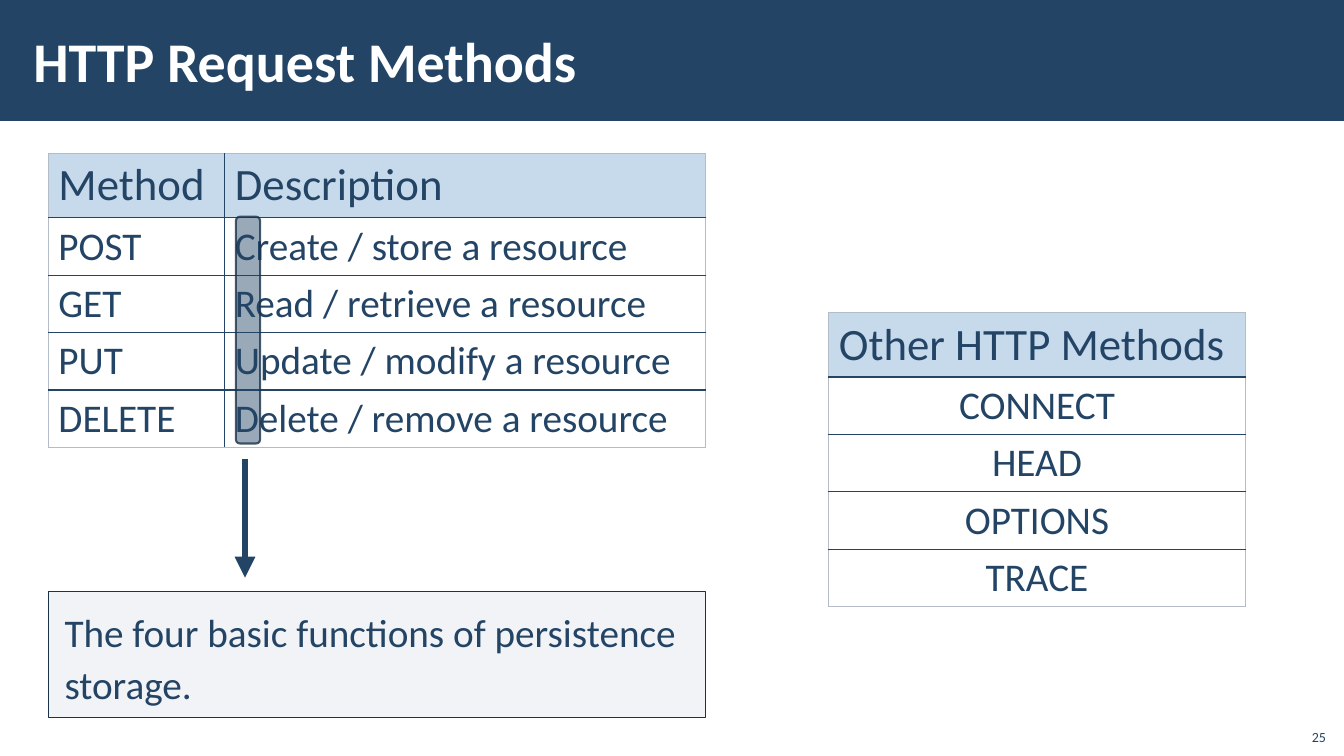
from dataclasses import dataclass

from lxml import etree
from pptx import Presentation
from pptx.dml.color import RGBColor
from pptx.enum import shapes, text
from pptx.oxml import ns
from pptx.util import Inches, Pt

NAVY, DARK, PALE, EDGE, WHITE = "234465", "1A334C", "C7DAEC", "B4BCC8", "FFFFFF"
GREY = "ADB4C3"
FONT = "Calibri"


@dataclass
class MethodTable:
    left: float
    top: float
    widths: list[float]
    rows: list[tuple[str, ...]]
    align: text.PP_ALIGN


@dataclass
class Panel:
    kind: shapes.MSO_SHAPE
    box: tuple[float, float, float, float]
    fill: str
    opacity: int = 100
    outline: str | None = None
    outline_width: float = 1
    outline_opacity: int = 100


def colour(value: str) -> RGBColor:
    return RGBColor.from_string(value)


def place(box: tuple[float, ...]) -> list[int]:
    return [Inches(length) for length in box]


def set_opacity(fill_parent, percent: int) -> None:
    if percent < 100:
        tint = fill_parent.find(ns.qn("a:solidFill"))[0]
        etree.SubElement(tint, ns.qn("a:alpha"), val=str(percent * 1000))


def style_text(frame, size: float, tint: str = NAVY, bold: bool = False,
               align: text.PP_ALIGN = text.PP_ALIGN.LEFT) -> None:
    for paragraph in frame.paragraphs:
        paragraph.alignment = align
        for run in paragraph.runs:
            run.font.name = FONT
            run.font.size = Pt(size)
            run.font.bold = bold
            run.font.color.rgb = colour(tint)


def set_margins(frame, side: float, vertical: float) -> None:
    frame.margin_left = frame.margin_right = Inches(side)
    frame.margin_top = frame.margin_bottom = Inches(vertical)


def add_panel(slide, panel: Panel):
    shape = slide.shapes.add_shape(panel.kind, *place(panel.box))
    shape.shadow.inherit = False
    shape.fill.solid()
    shape.fill.fore_color.rgb = colour(panel.fill)
    set_opacity(shape.element.spPr, panel.opacity)
    if panel.outline:
        shape.line.color.rgb = colour(panel.outline)
        shape.line.width = Pt(panel.outline_width)
        set_opacity(shape.element.spPr.find(ns.qn("a:ln")), panel.outline_opacity)
    else:
        shape.line.fill.background()
    return shape


def add_border(cell, side: str, outer: bool) -> None:
    border = etree.SubElement(cell._tc.get_or_add_tcPr(), ns.qn(f"a:ln{side}"),
                              w=str(Pt(0.5 if outer else 1)))
    fill = etree.SubElement(border, ns.qn("a:solidFill"))
    etree.SubElement(fill, ns.qn("a:srgbClr"), val=EDGE if outer else NAVY)


def add_methods(slide, spec: MethodTable) -> None:
    heights = [0.64] + [0.57] * (len(spec.rows) - 1)
    last_row, last_column = len(spec.rows) - 1, len(spec.widths) - 1
    box = (spec.left, spec.top, sum(spec.widths), sum(heights))
    table = slide.shapes.add_table(len(heights), len(spec.widths), *place(box)).table
    table.first_row = table.horz_banding = False
    for column, width in zip(table.columns, spec.widths):
        column.width = Inches(width)
    for r, (row, height, labels) in enumerate(zip(table.rows, heights, spec.rows)):
        row.height = Inches(height)
        for c, (cell, label) in enumerate(zip(row.cells, labels)):
            cell.text_frame.text = label
            header = r == 0
            style_text(cell.text_frame, 32 if header else 28,
                       align=text.PP_ALIGN.LEFT if header else spec.align)
            outer_sides = {"L": c == 0, "R": c == last_column,
                           "T": header, "B": r == last_row}
            for side, outer in outer_sides.items():
                add_border(cell, side, outer)
            if header:
                cell.fill.solid()
                cell.fill.fore_color.rgb = colour(PALE)
            else:
                cell.fill.background()


def add_arrow(slide, x: float, start: float, end: float) -> None:
    arrow = slide.shapes.add_connector(shapes.MSO_CONNECTOR.STRAIGHT,
                                       *place((x, start, x, end)))
    arrow.line.color.rgb = colour(NAVY)
    arrow.line.width = Pt(5)
    properties = arrow.element.spPr
    etree.SubElement(properties.find(ns.qn("a:ln")), ns.qn("a:tailEnd"), type="triangle")
    etree.SubElement(properties, ns.qn("a:effectLst"))


def add_heading(slide, wording: str) -> None:
    band = add_panel(slide, Panel(shapes.MSO_SHAPE.RECTANGLE, (0, 0, 13.33, 1.2), NAVY))
    slide.shapes.title.element.addprevious(band.element)
    title = slide.shapes.title
    title.left, title.top, title.width, title.height = place((0.21, 0.11, 10.4, 0.97))
    title.text_frame.text = wording
    title.text_frame.vertical_anchor = text.MSO_ANCHOR.MIDDLE
    set_margins(title.text_frame, 0.12, 0.04)
    style_text(title.text_frame, 40, WHITE, bold=True)


def add_note(slide, wording: str) -> None:
    note = add_panel(slide, Panel(shapes.MSO_SHAPE.RECTANGLE, (0.48, 5.87, 6.52, 1.25),
                                  GREY, 15, DARK))
    frame = note.text_frame
    frame.text = wording
    frame.word_wrap = True
    frame.vertical_anchor = text.MSO_ANCHOR.TOP
    set_margins(frame, 0.16, 0.12)
    frame.paragraphs[0].line_spacing = 1.1
    style_text(frame, 28)


def add_page_number(slide, number: str) -> None:
    frame = slide.shapes.add_textbox(*place((12.85, 7.12, 0.4, 0.32))).text_frame
    frame.text = number
    frame.word_wrap = True
    frame.vertical_anchor = text.MSO_ANCHOR.BOTTOM
    style_text(frame, 10, align=text.PP_ALIGN.RIGHT)


def main() -> None:
    deck = Presentation()
    deck.slide_width, deck.slide_height = Inches(13.33), Inches(7.5)
    slide = deck.slides.add_slide(deck.slide_layouts.get_by_name("Title Only"))
    add_heading(slide, "HTTP Request Methods")
    add_page_number(slide, "25")
    add_methods(slide, MethodTable(0.48, 1.52, [1.75, 4.77], [
        ("Method", "Description"),
        ("POST", "Create / store a resource"),
        ("GET", "Read / retrieve a resource"),
        ("PUT", "Update / modify a resource"),
        ("DELETE", "Delete / remove a resource"),
    ], text.PP_ALIGN.LEFT))
    add_panel(slide, Panel(shapes.MSO_SHAPE.ROUNDED_RECTANGLE, (2.34, 2.15, 0.24, 2.25),
                           NAVY, 46, DARK, 1.5, 80))
    add_arrow(slide, 2.43, 4.55, 5.73)
    add_note(slide, "The four basic functions of persistence storage.")
    add_methods(slide, MethodTable(8.22, 3.1, [4.13], [
        ("Other HTTP Methods",), ("CONNECT",), ("HEAD",), ("OPTIONS",), ("TRACE",),
    ], text.PP_ALIGN.CENTER))
    deck.save("out.pptx")


if __name__ == "__main__":
    main()
